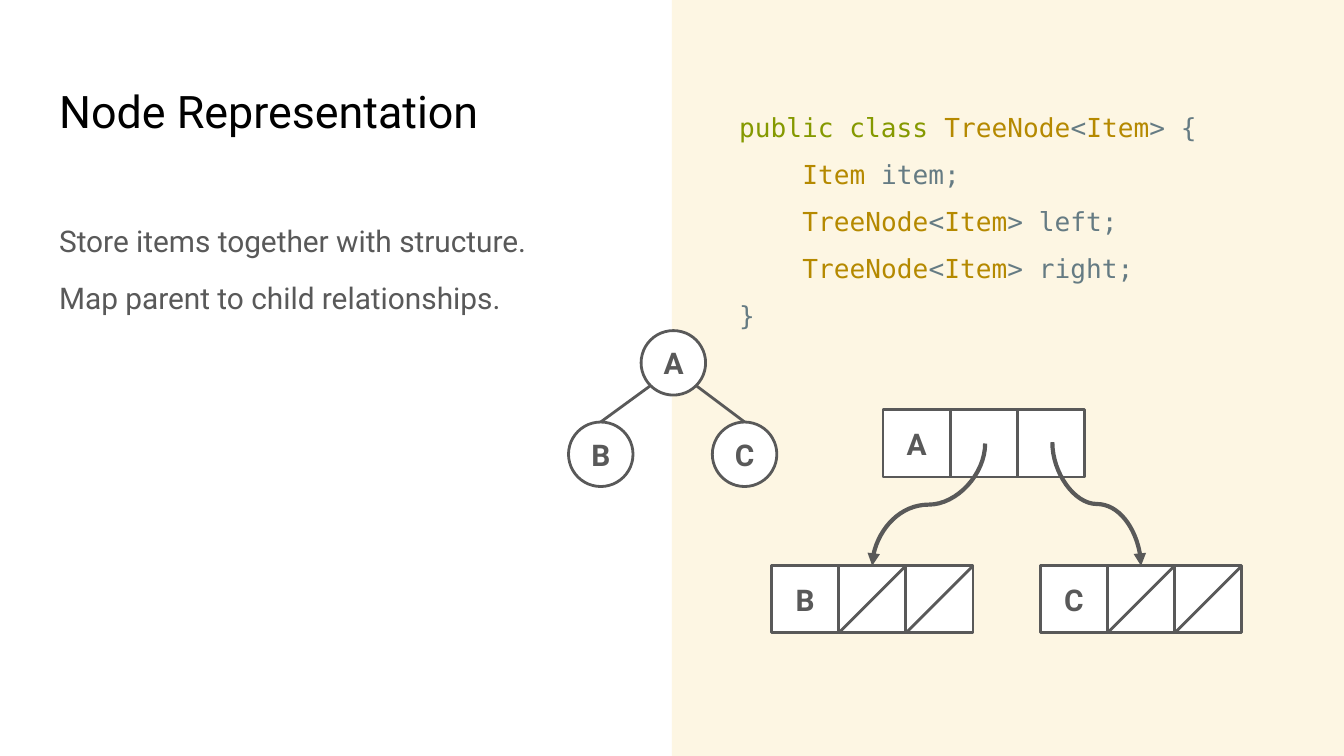
from lxml import etree
from pptx import Presentation
from pptx import util as u
from pptx.dml.color import RGBColor
from pptx.enum import shapes, text
from pptx.oxml.ns import qn

COLORS = {"panel": "FDF6E3", "white": "FFFFFF", "black": "000000", "gray": "595959",
          "keyword": "859900", "type": "B58900", "plain": "657B83"}
WIDTH = 10
HEIGHT = WIDTH * 9 / 16
SANS, MONO = "Roboto", "DejaVu Sans Mono"
LABEL = {"name": SANS, "size": u.Pt(16), "bold": True}
BODY = {"name": SANS, "size": u.Pt(16)}
CODE_FONT = {"name": MONO, "size": u.Pt(14)}
CODE = [
    [("public class ", "keyword"), ("TreeNode", "type"), ("<", "plain"),
     ("Item", "type"), ("> {", "plain")],
    [("    ", "plain"), ("Item", "type"), (" item;", "plain")],
    *[[("    ", "plain"), ("TreeNode", "type"), ("<", "plain"), ("Item", "type"),
       (f"> {side};", "plain")] for side in ("left", "right")],
    [("}", "plain")],
]


def rgb(name):
    """Return the named colour."""
    return RGBColor.from_string(COLORS[name])


def apply(target, values):
    """Set each attribute of target from a dict."""
    for key, value in values.items():
        setattr(target, key, value)


def style_font(font, values, color):
    """Format a font and colour it."""
    apply(font, values)
    font.color.rgb = rgb(color)


def set_frame(tf, anchor):
    """Anchor a text frame and give it equal insets."""
    apply(tf, {"vertical_anchor": anchor, "word_wrap": True})
    apply(tf, {f"margin_{side}": u.Inches(0.1)
               for side in ("left", "right", "top", "bottom")})


def add_box(parent, kind, left, top, width, height, fill="white", label=""):
    """Add a filled shape, outlined unless it is the panel, with an optional label."""
    sp = parent.shapes.add_shape(kind, *map(u.Inches, (left, top, width, height)))
    sp.shadow.inherit = False
    sp.fill.solid()
    sp.fill.fore_color.rgb = rgb(fill)
    if fill == "panel":
        sp.line.fill.background()
    else:
        sp.line.color.rgb = rgb("gray")
        sp.line.width = u.Pt(1.5)
    if label:
        set_frame(sp.text_frame, text.MSO_ANCHOR.MIDDLE)
        p = sp.text_frame.paragraphs[0]
        p.alignment = text.PP_ALIGN.CENTER
        r = p.add_run()
        r.text = label
        style_font(r.font, LABEL, "gray")
    return sp


def add_line(parent, x1, y1, x2, y2, kind=shapes.MSO_CONNECTOR.STRAIGHT, width=1.5):
    """Add a gray connector without a shadow."""
    cn = parent.shapes.add_connector(kind, *map(u.Inches, (x1, y1, x2, y2)))
    cn.line.color.rgb = rgb("gray")
    cn.line.width = u.Pt(width)
    etree.SubElement(cn.element.spPr, qn("a:effectLst"))
    return cn


def add_pointer(s, x1, y1, x2, y2):
    """Add a curved arrow that leaves and arrives vertically."""
    cx, cy = (x1 + x2) / 2, (y1 + y2) / 2
    half_w, half_h = (y2 - y1) / 2, abs(x2 - x1) / 2
    side = 1 if x2 > x1 else -1
    cn = add_line(s, cx + side * half_w, cy - half_h, cx - side * half_w, cy + half_h,
                  shapes.MSO_CONNECTOR.CURVE, 2.25)
    cn.element.spPr.xfrm.set("rot", str((270 if side > 0 else 90) * 60000))
    etree.SubElement(cn.line._get_or_add_ln(), qn("a:tailEnd"), type="triangle")


def place_text(sp, left, top, width, height, anchor):
    """Move a placeholder and set up its frame."""
    apply(sp, dict(zip(("left", "top", "width", "height"),
                       map(u.Inches, (left, top, width, height)))))
    tf = sp.text_frame
    set_frame(tf, anchor)
    tf.auto_size = text.MSO_AUTO_SIZE.NONE
    return tf


def plain_paragraph(p, spacing, before=0, after=0):
    """Remove the bullet and indent of a paragraph and set its spacing."""
    pPr = p._p.get_or_add_pPr()
    pPr.set("marL", "0")
    pPr.set("indent", "0")
    etree.SubElement(pPr, qn("a:buNone"))
    apply(p, {"alignment": text.PP_ALIGN.LEFT, "line_spacing": spacing,
              "space_before": u.Pt(before), "space_after": u.Pt(after)})


def fill_title(sp, *box):
    """Write the slide title."""
    tf = place_text(sp, *box, text.MSO_ANCHOR.BOTTOM)
    tf.text = "Node Representation"
    p = tf.paragraphs[0]
    p.alignment = text.PP_ALIGN.LEFT
    style_font(p.runs[0].font, {"name": SANS, "size": u.Pt(24)}, "black")


def fill_points(sp, *box):
    """Write the explanatory lines."""
    tf = place_text(sp, *box, text.MSO_ANCHOR.TOP)
    tf.text = "Store items together with structure.\nMap parent to child relationships."
    for p, gap in zip(tf.paragraphs, (0, 8)):
        plain_paragraph(p, 1.15, gap, gap)
        style_font(p.runs[0].font, BODY, "gray")


def fill_code(sp, *box):
    """Write the coloured class definition."""
    p = place_text(sp, *box, text.MSO_ANCHOR.TOP).paragraphs[0]
    plain_paragraph(p, 1.5, after=8)
    for i, line in enumerate(CODE):
        if i:
            p.add_line_break()
        for token, color in line:
            r = p.add_run()
            r.text = token
            style_font(r.font, CODE_FONT, color)


def draw_tree(s, left, top):
    """Draw the circle tree with its root above two children."""
    size, drop = 0.48, 0.68
    root = left + 0.54
    grp = s.shapes.add_group_shape()
    for label, x, end in (("B", left, root + 0.07), ("C", left + 1.07, root + 0.41)):
        add_box(grp, shapes.MSO_SHAPE.OVAL, x, top + drop, size, size, label=label)
        add_line(grp, x + size / 2, top + drop, end, top + 0.41)
    add_box(grp, shapes.MSO_SHAPE.OVAL, root, top, size, size, label="A")


def draw_record(s, left, top, label, leaf=True, cell=0.5):
    """Draw an item cell and two link cells, struck through for a leaf."""
    grp = s.shapes.add_group_shape()
    for i in (1, 2, 0):
        add_box(grp, shapes.MSO_SHAPE.RECTANGLE, left + i * cell, top, cell, cell,
                label="" if i else label)
    if leaf:
        for i in (1, 2):
            x = left + i * cell
            add_line(grp, x + cell, top, x, top + cell)


def draw_records(s, left, top):
    """Draw the three linked records."""
    low = top + 1.16
    draw_record(s, left + 0.83, top, "A", leaf=False)
    draw_record(s, left, low, "B")
    draw_record(s, left + 2, low, "C")
    add_pointer(s, left + 2.09, top + 0.24, left + 2.75, low)
    add_pointer(s, left + 1.59, top + 0.25, left + 0.75, low)


def main():
    """Build and save the slide."""
    prs = Presentation()
    prs.slide_width, prs.slide_height = u.Inches(WIDTH), u.Inches(HEIGHT)
    s = prs.slides.add_slide(prs.slide_layouts[3])
    title, points, code = list(s.placeholders)[:3]
    panel = add_box(s, shapes.MSO_SHAPE.RECTANGLE, WIDTH / 2, 0, WIDTH / 2, HEIGHT, "panel")
    s.shapes._spTree.insert(2, panel.element)
    fill_title(title, 0.34, 0.49, 4.32, 0.63)
    fill_points(points, 0.34, 1.52, 4.2, 1.06)
    fill_code(code, 5.4, 0.61, 4.2, 1.86)
    draw_tree(s, 4.23, 2.46)
    draw_records(s, 5.74, 3.05)
    prs.save("out.pptx")


if __name__ == "__main__":
    main()
